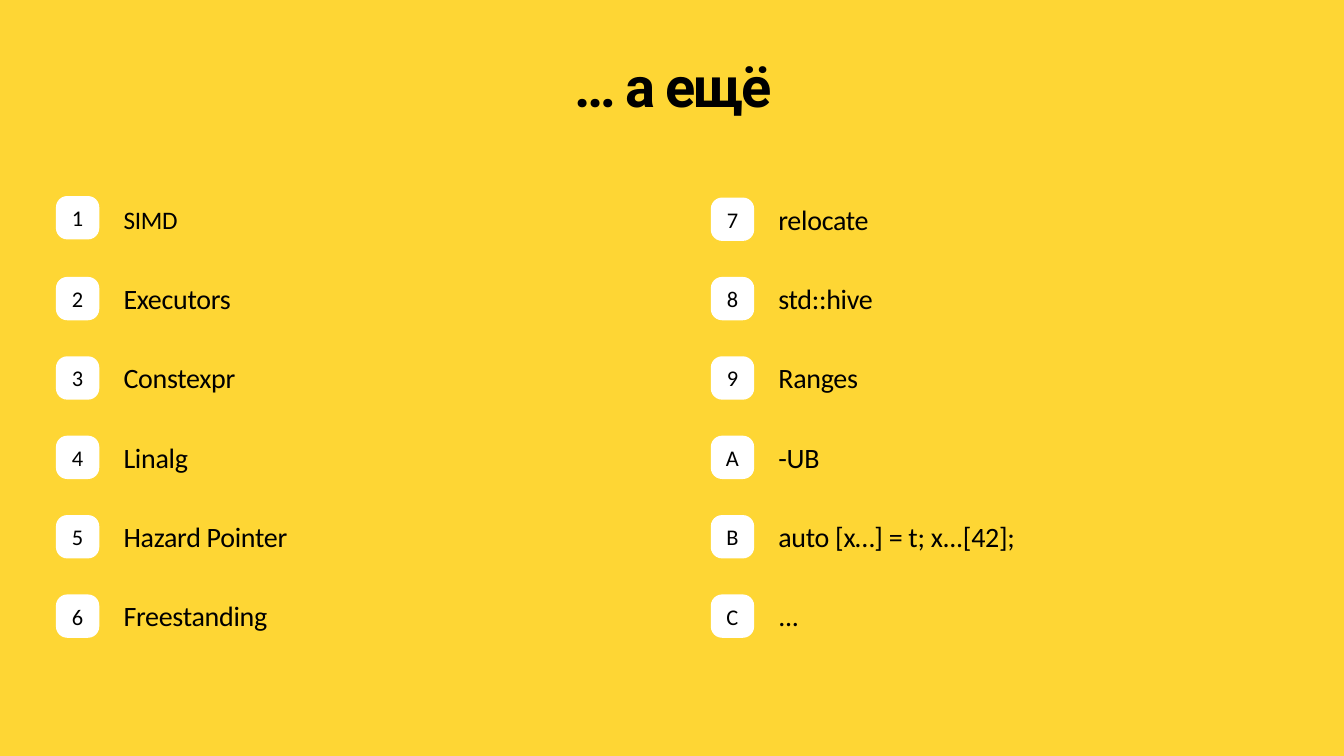
from dataclasses import dataclass

from pptx import Presentation
from pptx.dml.color import RGBColor
from pptx.enum.shapes import MSO_SHAPE
from pptx.enum.text import MSO_ANCHOR, MSO_AUTO_SIZE, PP_ALIGN
from pptx.util import Inches, Pt


@dataclass(frozen=True)
class Theme:
    background: RGBColor = RGBColor(0xFE, 0xD6, 0x34)
    badge: RGBColor = RGBColor(0xFF, 0xFF, 0xFF)
    ink: RGBColor = RGBColor(0x00, 0x00, 0x00)
    title_font: str = "Roboto"
    body_font: str = "Calibri"
    title_size: int = 80
    badge_size: int = 32
    topic_size: int = 40
    first_topic_size: int = 36
    topic_leading: int = 40


@dataclass(frozen=True)
class Grid:
    width: float = 26.66
    height: float = 15
    left: float = 1.11
    top: float = 3.92
    column_step: float = 12.99
    row_step: float = 1.575
    rows: int = 6
    badge: float = 0.86
    text_indent: float = 1.34
    text_drop: float = 0.2
    text_width: float = 8.51
    text_height: float = 0.56
    first_lift: float = 0.03  # the first entry sits slightly higher

    def cell(self, index):
        column, row = divmod(index, self.rows)
        lift = self.first_lift if index == 0 else 0
        return (self.left + column * self.column_step,
                self.top + row * self.row_step - lift)


THEME = Theme()
GRID = Grid()
TITLE = "… а ещё"
TOPICS = [
    "SIMD", "Executors", "Constexpr", "Linalg", "Hazard Pointer", "Freestanding",
    "relocate", "std::hive", "Ranges", "-UB", "auto [x…] = t; x...[42];", "...",
]


def write(frame, text, font, size, spacing, bold=False):
    """Fill a text frame with one styled paragraph; spacing is in points."""
    frame.text = text
    para = frame.paragraphs[0]
    span = para.runs[0]
    span.font.name = font
    span.font.size = Pt(size)
    span.font.bold = bold
    span.font.color.rgb = THEME.ink
    span.font._element.set("spc", str(round(spacing * 100)))
    return para


def add_text_box(shapes, left, top, width, height):
    box = shapes.add_textbox(Inches(left), Inches(top), Inches(width), Inches(height))
    frame = box.text_frame
    frame.word_wrap = True
    frame.margin_left = frame.margin_top = frame.margin_right = frame.margin_bottom = 0
    return frame


def add_title(page):
    frame = add_text_box(page.shapes, GRID.left, 1.05, 24.49, 1.31)
    frame.margin_top = Inches(0.22)
    para = write(frame, TITLE, THEME.title_font, THEME.title_size, -3, bold=True)
    para.alignment = PP_ALIGN.CENTER
    para.line_spacing = 0.8


def add_badge(shapes, left, top, label):
    badge = shapes.add_shape(MSO_SHAPE.ROUNDED_RECTANGLE, Inches(left), Inches(top),
                             Inches(GRID.badge), Inches(GRID.badge))
    badge.adjustments[0] = 0.26
    badge.shadow.inherit = False
    badge.fill.solid()
    badge.fill.fore_color.rgb = THEME.badge
    badge.line.fill.background()
    badge.text_frame.vertical_anchor = MSO_ANCHOR.MIDDLE
    para = write(badge.text_frame, label, THEME.body_font, THEME.badge_size, -0.3)
    para.alignment = PP_ALIGN.CENTER


def add_topic(page, index, topic):
    left, top = GRID.cell(index)
    group = page.shapes.add_group_shape()
    # Numbering is hexadecimal: 1 to 9, then A to C
    add_badge(group.shapes, left, top, f"{index + 1:X}")
    frame = add_text_box(group.shapes, left + GRID.text_indent, top + GRID.text_drop,
                         GRID.text_width, GRID.text_height)
    frame.auto_size = MSO_AUTO_SIZE.SHAPE_TO_FIT_TEXT
    size = THEME.first_topic_size if index == 0 else THEME.topic_size
    para = write(frame, topic, THEME.body_font, size, -0.4)
    para.line_spacing = Pt(THEME.topic_leading)


def main():
    deck = Presentation()
    deck.slide_width = Inches(GRID.width)
    deck.slide_height = Inches(GRID.height)
    page = deck.slides.add_slide(deck.slide_layouts[6])

    # Background
    page.background.fill.solid()
    page.background.fill.fore_color.rgb = THEME.background

    # Heading and the two columns of topics
    add_title(page)
    for index, topic in enumerate(TOPICS):
        add_topic(page, index, topic)

    deck.save("out.pptx")


if __name__ == "__main__":
    main()
